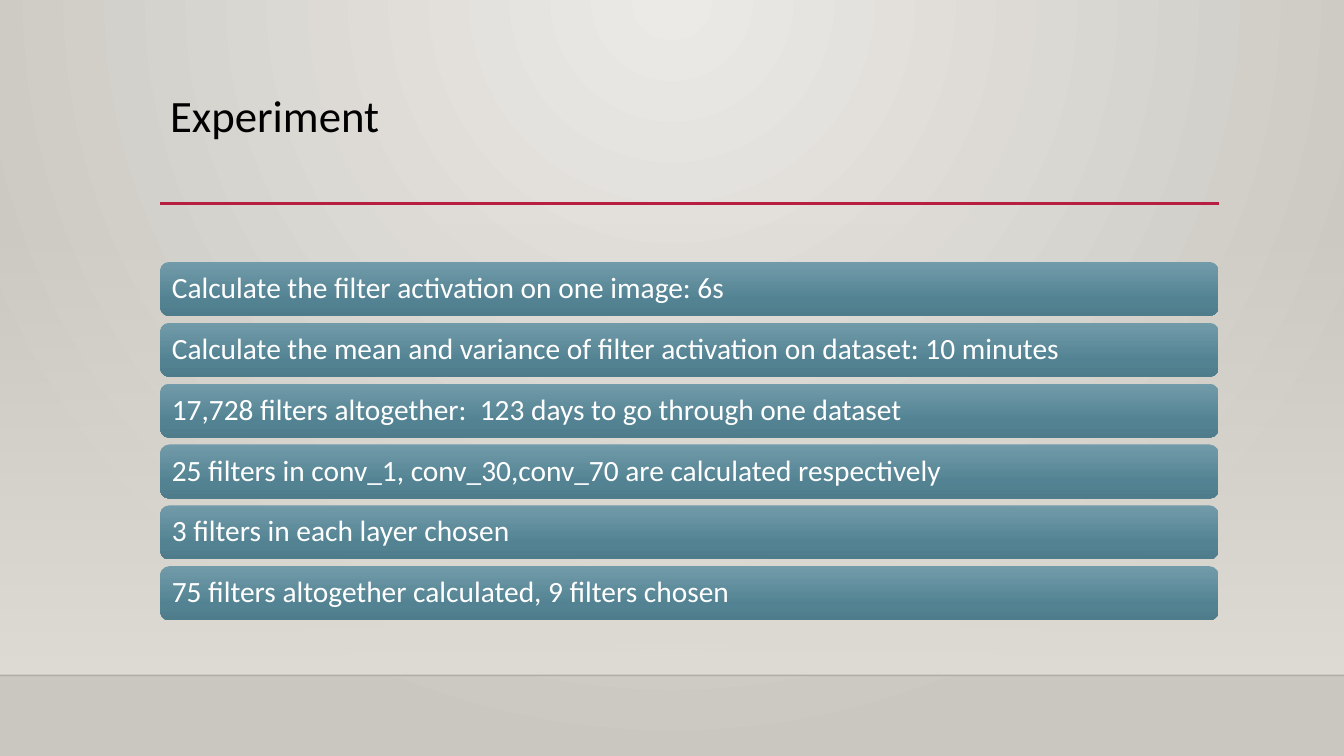
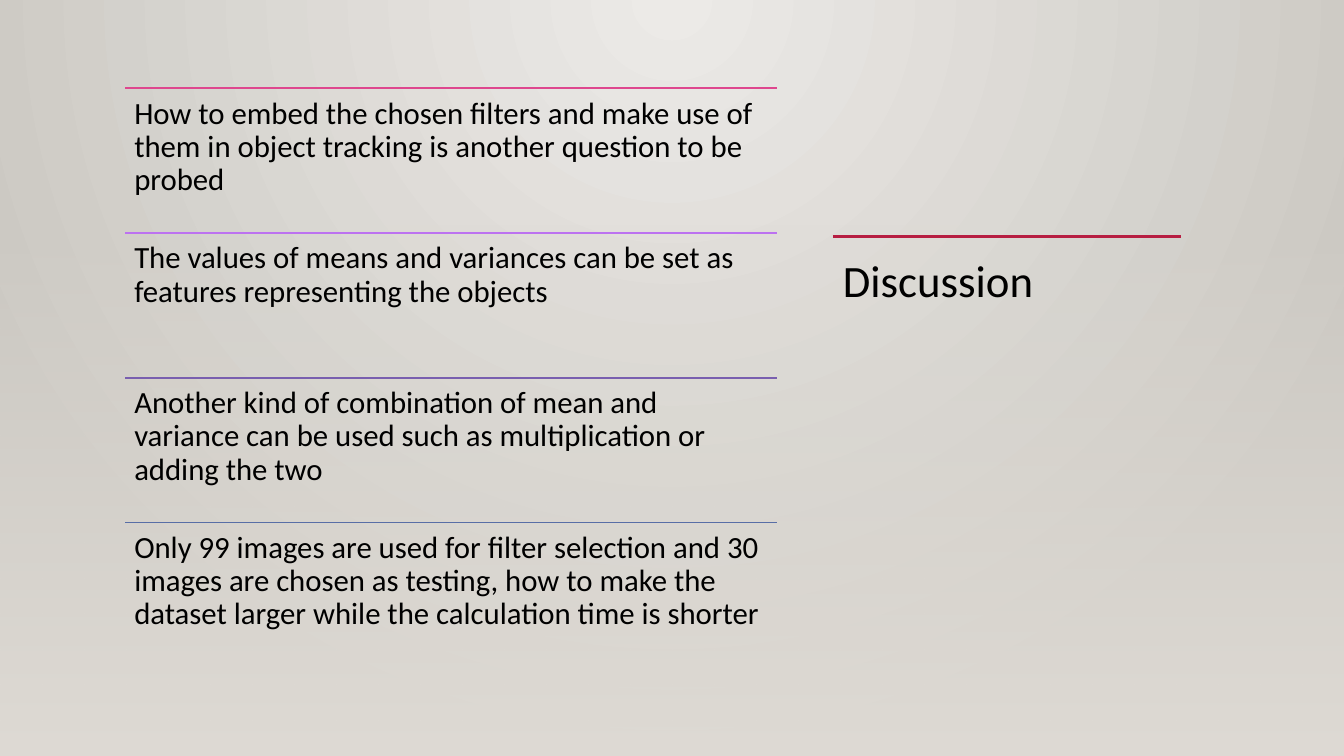
from dataclasses import dataclass

from pptx import Presentation
from pptx.dml.color import RGBColor
from pptx.enum.shapes import MSO_CONNECTOR as Connector, MSO_SHAPE as Preset
from pptx.enum.text import MSO_ANCHOR as Anchor, PP_ALIGN as Align
from pptx.oxml import parse_xml
from pptx.oxml.ns import nsdecls
from pptx.oxml.xmlchemy import OxmlElement
from pptx.util import Pt

WIDTH, HEIGHT = 960, 540


@dataclass(frozen=True)
class Theme:
    font: str = "Calibri"
    title_size: int = 32
    bar_size: int = 21
    point_size: int = 22
    ink: str = "000000"
    on_bar: str = "FFFFFF"
    accent: str = "B71E42"
    floor: str = "000001"
    # Gradient stops: position, colour, opacity (all but colour in percent)
    backdrop: tuple = ((0, "ECEAE7", 100), (100, "CAC7C1", 100))
    wash: tuple = ((0, "DFDBD5", 0), (100, "DFDBD5", 100))
    bar: tuple = ((0, "729BA9", 100), (69, "538393", 100), (100, "4F7C8B", 100))
    point_rules: tuple = ("DE478E", "BC72F0", "795FAF", "586EA6")


DOWNWARD = '<a:lin ang="5400000" scaled="0"/>'
FROM_TOP_CENTRE = ('<a:path path="circle"><a:fillToRect l="43000" t="0" '
                   'r="43000" b="100000"/></a:path>')


def set_gradient(fill, owner, stops, direction=DOWNWARD):
    """Fill with a gradient; owner is the XML element that holds the fill."""
    fill.gradient()
    stop_xml = "".join(
        f'<a:gs pos="{position * 1000}"><a:srgbClr val="{color}">'
        f'<a:alpha val="{opacity * 1000}"/></a:srgbClr></a:gs>'
        for position, color, opacity in stops)
    plain = owner.xpath(".//a:gradFill")[0]
    plain.getparent().replace(plain, parse_xml(
        f'<a:gradFill {nsdecls("a")} rotWithShape="1">'
        f"<a:gsLst>{stop_xml}</a:gsLst>{direction}</a:gradFill>"))


class Deck:
    def __init__(self, theme):
        self.theme = theme
        self.presentation = Presentation()
        self.presentation.slide_width = Pt(WIDTH)
        self.presentation.slide_height = Pt(HEIGHT)
        self.slide = None

    def new_slide(self, wash_bottom):
        self.slide = self.presentation.slides.add_slide(
            self.presentation.slide_layouts[6])
        set_gradient(self.slide.background.fill, self.slide._element,
                     self.theme.backdrop, FROM_TOP_CENTRE)
        wash_top = 159
        self.panel(Preset.RECTANGLE, 0, wash_top, WIDTH,
                   wash_bottom - wash_top, self.theme.wash)

    def panel(self, preset, left, top, width, height, stops):
        panel = self.slide.shapes.add_shape(
            preset, Pt(left), Pt(top), Pt(width), Pt(height))
        panel.shadow.inherit = False
        panel.line.fill.background()
        set_gradient(panel.fill, panel._element, stops)
        return panel

    def rule(self, left, y, width, color, weight, opacity=100):
        rule = self.slide.shapes.add_connector(
            Connector.STRAIGHT, Pt(left), Pt(y), Pt(left + width), Pt(y))
        rule.line.color.rgb = RGBColor.from_string(color)
        rule.line.width = Pt(weight)
        properties = rule._element.spPr
        if opacity < 100:
            alpha = OxmlElement("a:alpha")
            alpha.set("val", str(opacity * 1000))
            properties.xpath(".//a:srgbClr")[0].append(alpha)
        properties.append(OxmlElement("a:effectLst"))

    def set_text(self, shape, text, size, color, inset, anchor=Anchor.TOP):
        frame = shape.text_frame
        frame.word_wrap = True
        frame.vertical_anchor = anchor
        frame.margin_left = frame.margin_right = Pt(inset)
        frame.margin_top = frame.margin_bottom = Pt(inset)
        frame.text = text
        paragraph = frame.paragraphs[0]
        paragraph.alignment = Align.LEFT
        paragraph.line_spacing = 0.9
        font = paragraph.runs[0].font
        font.name = self.theme.font
        font.size = Pt(size)
        font.color.rgb = RGBColor.from_string(color)

    def text(self, text, left, top, width, height, size, inset):
        box = self.slide.shapes.add_textbox(
            Pt(left), Pt(top), Pt(width), Pt(height))
        self.set_text(box, text, size, self.theme.ink, inset)
        return box

    def title(self, text, left, top, width, height):
        title = self.text(text, left, top, width, height,
                          self.theme.title_size, 7.2)
        title.text_frame.margin_top = Pt(3.6)

    def title_rule(self, left, y, width):
        self.rule(left, y, width, self.theme.accent, 2.5)

    def bars(self, texts, left, top, width, height, pitch):
        for row, text in enumerate(texts):
            bar = self.panel(Preset.ROUNDED_RECTANGLE, left, top + row * pitch,
                             width, height, self.theme.bar)
            self.set_text(bar, text, self.theme.bar_size, self.theme.on_bar,
                          6.5, Anchor.MIDDLE)

    def ruled_points(self, texts, left, top, width, pitch):
        for row, (text, color) in enumerate(zip(texts, self.theme.point_rules)):
            y = top + row * pitch
            self.rule(left, y, width, color, 1.25)
            self.text(text, left, y, width, pitch, self.theme.point_size, 6.6)


def experiment(deck):
    floor_y = 482.4
    left, width = 114.4, 756
    deck.new_slide(wash_bottom=floor_y)
    deck.rule(0, floor_y, WIDTH, deck.theme.floor, 1, opacity=20)
    deck.title_rule(left, 145.2, width + 0.6)
    deck.title("Experiment", left, 63.4, width, 82.6)
    deck.bars([
        "Calculate the filter activation on one image: 6s",
        "Calculate the mean and variance of filter activation on dataset: 10 minutes",
        "17,728 filters altogether:  123 days to go through one dataset",
        "25 filters in conv_1, conv_30,conv_70 are calculated respectively",
        "3 filters in each layer chosen",
        "75 filters altogether calculated, 9 filters chosen",
    ], left, top=187.1, width=width, height=38.6, pitch=43.47)


def discussion(deck):
    left, width = 595, 248.6
    deck.new_slide(wash_bottom=HEIGHT)
    deck.title("Discussion", left, 181.5, width, 295)
    deck.title_rule(left, 168.9, width)
    deck.ruled_points([
        "How to embed the chosen filters and make use of them in object "
        "tracking is another question to be probed",
        "The values of means and variances can be set as features "
        "representing the objects",
        "Another kind of combination of mean and variance can be used such as "
        "multiplication or adding the two",
        "Only 99 images are used for filter selection and 30 images are chosen "
        "as testing, how to make the dataset larger while the calculation time "
        "is shorter",
    ], left=89.3, top=63.1, width=465.7, pitch=103.4)


def main():
    deck = Deck(Theme())
    experiment(deck)
    discussion(deck)
    deck.presentation.save("out.pptx")


if __name__ == "__main__":
    main()
